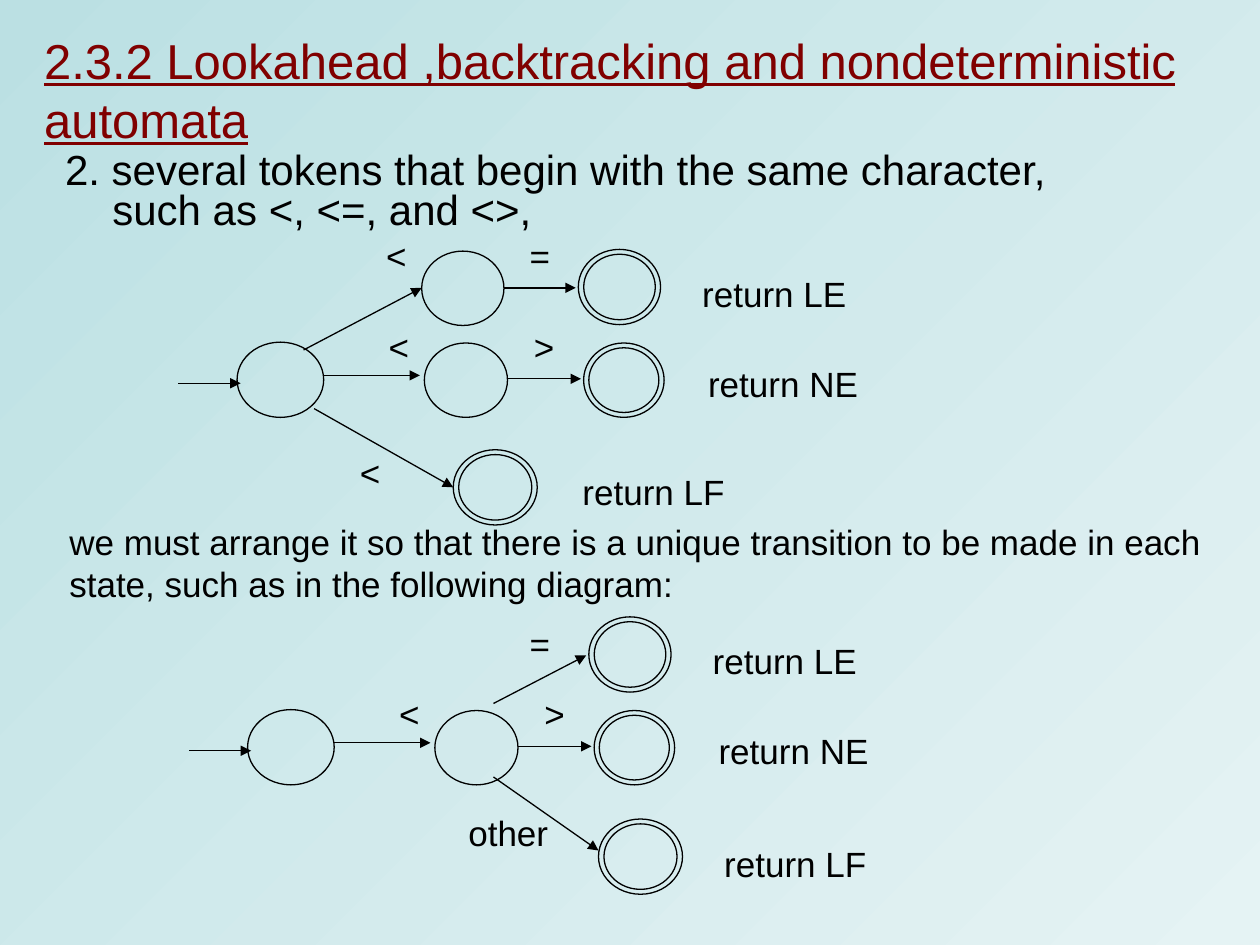
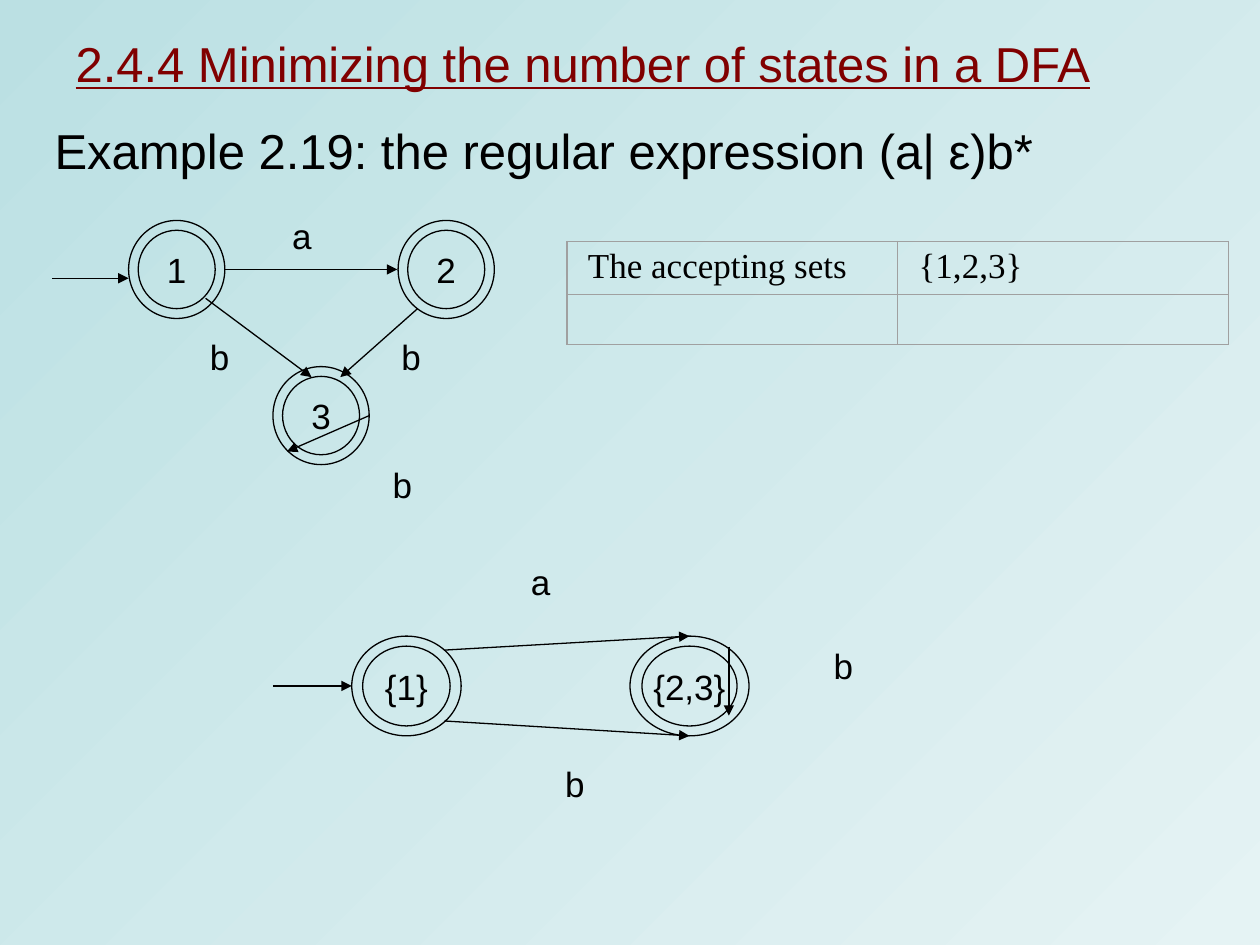
from lxml import etree
from pptx import Presentation
from pptx.dml.color import RGBColor
from pptx.enum.shapes import MSO_CONNECTOR, MSO_SHAPE
from pptx.enum.text import MSO_ANCHOR, MSO_AUTO_SIZE, PP_ALIGN
from pptx.oxml.ns import qn
from pptx.util import Pt

LINE, OVAL = MSO_CONNECTOR.STRAIGHT, MSO_SHAPE.OVAL
TOP, MID = MSO_ANCHOR.TOP, MSO_ANCHOR.MIDDLE
LEFT, MIDST = PP_ALIGN.LEFT, PP_ALIGN.CENTER
FIXED = MSO_AUTO_SIZE.NONE

BLACK, RED, GREY = "000000", "800000", "A0A0A0"
SHADES = ["BBE0E3", "E5F3F4"]

HEADS = [
    ("2.3.2 Lookahead ,backtracking and nondeterministic automata", (18, 18, 702, 66)),
    ("2.4.4 Minimizing the number of states in a DFA", (36, 18, 660, 36)),
]
LEADS = [
    ("2. several tokens that begin with the same character, such as <, <=, and <>,",
     (30, 84, 612, 54), 24),
    ("Example 2.19: the regular expression (a| ε)b*", (24, 72, 672, 36), 28),
]
NOTE = ("we must arrange it so that there is a unique transition to be made in each "
        "state, such as in the following diagram:", (32.5, 294, 687.5, 55.5))

CORE = {
    "plain": [(135.5, 195.5, 49.5, 43), (242.5, 196, 47.5, 42.5)],
    "final": [("", (330.5, 142.5, 47, 43)), ("", (333.5, 196, 46, 42.5))],
    "arrows": [(102, 219, 137.5, 219), (184.5, 214.5, 240, 214.5),
               (290, 216.5, 332, 216.5)],
    "labels": [("<", 228, 198), (">", 311, 198)],
    "ends": [("return LE", 442.5, 167.5), ("return NE", 447.5, 219)],
}
SPLIT = {
    "plain": [(241, 143.5, 47, 42.5)],
    "final": [("", (259, 257, 48, 43))],
    "arrows": [(173.5, 200, 241, 164.5), (288, 164.5, 329, 164.5),
               (179.5, 233.5, 259, 278.5)],
    "labels": [("<", 226.5, 146), ("=", 308.5, 146), ("<", 211.5, 270)],
    "ends": [("return LF", 373.5, 281)],
}
MERGED = {
    "final": [("", (336, 258, 48, 43))],
    "arrows": [(276, 192, 329, 164.5), (276, 234, 336, 276)],
    "labels": [("=", 302.5, 158), ("other", 284.5, 266)],
    "ends": [("return LF", 448.5, 283.5)],
}
DFA = {
    "final": [("1", (73.5, 126, 55, 56)), ("2", (227.5, 126, 55, 56)),
              ("3", (156, 209.5, 55, 56)), ("{1}", (201, 363.5, 62.5, 57)),
              ("{2,3}", (360, 363.5, 68, 57))],
    "arrows": [(30, 159, 73.5, 159), (128.5, 154, 227, 154),
               (117.5, 170.5, 178, 215.5), (238.5, 176.5, 194.5, 215.5),
               (211, 237.5, 164, 258), (156, 392, 201, 392),
               (254, 371.5, 394, 363.5), (254, 412, 394, 420.5),
               (416.5, 369.5, 416.5, 409)],
    "labels": [("a", 172.5, 134.5), ("b", 125.5, 204), ("b", 235, 204),
               ("b", 230, 277), ("a", 309, 332.5), ("b", 328.5, 448),
               ("b", 482, 380.5)],
}
SHIFT = (6, 210)
SIZES = {"labels": (30, 16), "ends": (113, 27)}

GRID = [["The accepting sets", "{1,2,3}"], ["", ""]]
SPOT, WIDE, HIGH = (324, 138), 189, [30.5, 28.5]


def ink(code):
    return RGBColor.from_string(code)


def apply(item, form):
    for name, value in form.items():
        setattr(item, name, value)


def place(item, box):
    apply(item, dict(zip(("left", "top", "width", "height"), map(Pt, box))))


def write(frame, words, size=20, hue=BLACK, face="Arial", frames=None, lines=None,
          under=None, hang=0):
    apply(frame, {"auto_size": FIXED, "word_wrap": True, **(frames or {})})
    frame.text = words
    para = frame.paragraphs[0]
    prop = para._p.get_or_add_pPr()
    prop.set("marL", str(Pt(hang)))
    prop.set("indent", str(-Pt(hang)))
    etree.SubElement(prop, qn("a:buNone"))
    apply(para, {"alignment": LEFT, "space_before": Pt(0), **(lines or {})})
    font = para.runs[0].font
    apply(font, {"name": face, "size": Pt(size), "underline": under})
    font.color.rgb = ink(hue)


def center(frame, words):
    write(frame, words, frames={"word_wrap": False, "vertical_anchor": MID},
          lines={"alignment": MIDST})


def oval(slide, box, words=""):
    item = slide.shapes.add_shape(OVAL, *map(Pt, box))
    item.shadow.inherit = False
    item.fill.background()
    item.line.color.rgb = ink(BLACK)
    item.line.width = Pt(0.75)
    if words:
        center(item.text_frame, words)


def ring(slide, box, words, ratio):
    x, y, w, h = box
    dx, dy = w * ratio, h * ratio
    oval(slide, (x + dx, y + dy, w - 2 * dx, h - 2 * dy), words)
    oval(slide, box)


def arrow(slide, ends):
    item = slide.shapes.add_connector(LINE, *map(Pt, ends))
    item.line.color.rgb = ink(BLACK)
    item.line.width = Pt(0.75)
    etree.SubElement(item.line._get_or_add_ln(), qn("a:tailEnd"), type="triangle")
    etree.SubElement(item._element.spPr, qn("a:effectLst"))


def graph(slide, parts, ratio, shift=(0, 0)):
    dx, dy = shift
    for x, y, w, h in parts.get("plain", []):
        oval(slide, (x + dx, y + dy, w, h))
    for words, (x, y, w, h) in parts["final"]:
        ring(slide, (x + dx, y + dy, w, h), words, ratio)
    for x, y, u, v in parts["arrows"]:
        arrow(slide, (x + dx, y + dy, u + dx, v + dy))
    for kind, (w, h) in SIZES.items():
        for words, x, y in parts.get(kind, []):
            box = (x + dx - w / 2, y + dy - h / 2, w, h)
            item = slide.shapes.add_textbox(*map(Pt, box))
            center(item.text_frame, words)


def border(cell):
    prop = cell._tc.get_or_add_tcPr()
    for rank, side in enumerate(("lnL", "lnR", "lnT", "lnB")):
        edge = etree.Element(qn("a:" + side), w=str(Pt(0.75)))
        fill = etree.SubElement(edge, qn("a:solidFill"))
        etree.SubElement(fill, qn("a:srgbClr"), val=GREY)
        prop.insert(rank, edge)


def sets(slide):
    rows, cols = len(GRID), len(GRID[0])
    box = (*SPOT, WIDE * cols, sum(HIGH))
    table = slide.shapes.add_table(rows, cols, *map(Pt, box)).table
    apply(table, {"first_row": False, "horz_banding": False})
    for col in table.columns:
        col.width = Pt(WIDE)
    for row, high, texts in zip(table.rows, HIGH, GRID):
        row.height = Pt(high)
        for cell, words in zip(row.cells, texts):
            cell.fill.background()
            border(cell)
            pad = 3.5 if words else 0
            apply(cell, {"margin_left": Pt(12), "margin_top": Pt(pad),
                         "margin_bottom": Pt(pad)})
            if words:
                write(cell.text_frame, words, face="Times New Roman")


def page(deck, head, lead):
    slide = deck.slides.add_slide(deck.slide_layouts[1])
    title, body = slide.placeholders
    words, box = head
    place(title, box)
    write(title.text_frame, words, 28, RED, frames={"vertical_anchor": MID}, under=True)
    words, box, size = lead
    place(body, box)
    write(body.text_frame, words, size, frames={"vertical_anchor": TOP},
          lines={"line_spacing": 0.8}, hang=27)
    return slide


def main():
    deck = Presentation()
    apply(deck, {"slide_width": Pt(720), "slide_height": Pt(540)})
    fill = deck.slide_master.background.fill
    fill.gradient()
    fill.gradient_angle = 315
    for stop, code in zip(fill.gradient_stops, SHADES):
        stop.color.rgb = ink(code)

    look, small = [page(deck, *pair) for pair in zip(HEADS, LEADS)]
    for parts, shift in ((CORE, (0, 0)), (SPLIT, (0, 0)), (CORE, SHIFT), (MERGED, SHIFT)):
        graph(look, parts, 0.065, shift)
    words, box = NOTE
    write(look.shapes.add_textbox(*map(Pt, box)).text_frame, words)
    sets(small)
    graph(small, DFA, 0.1)
    deck.save("out.pptx")


if __name__ == "__main__":
    main()
